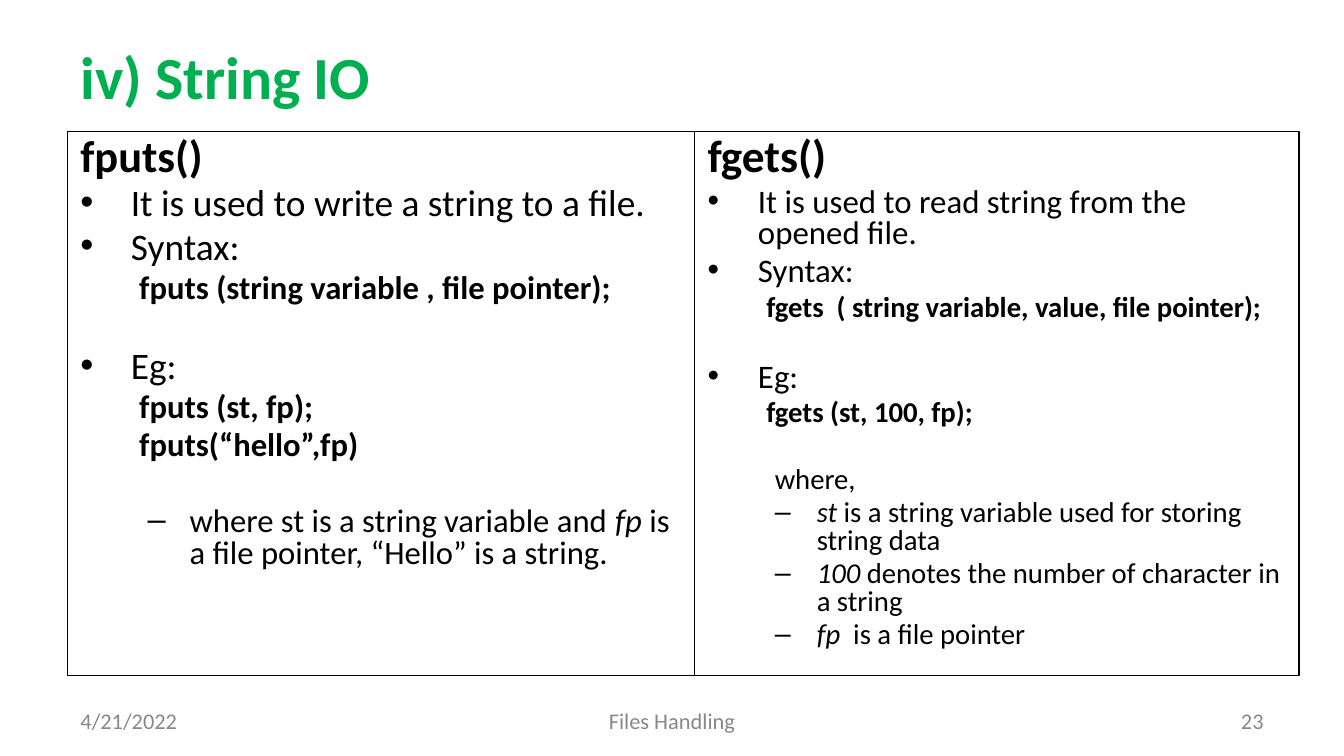
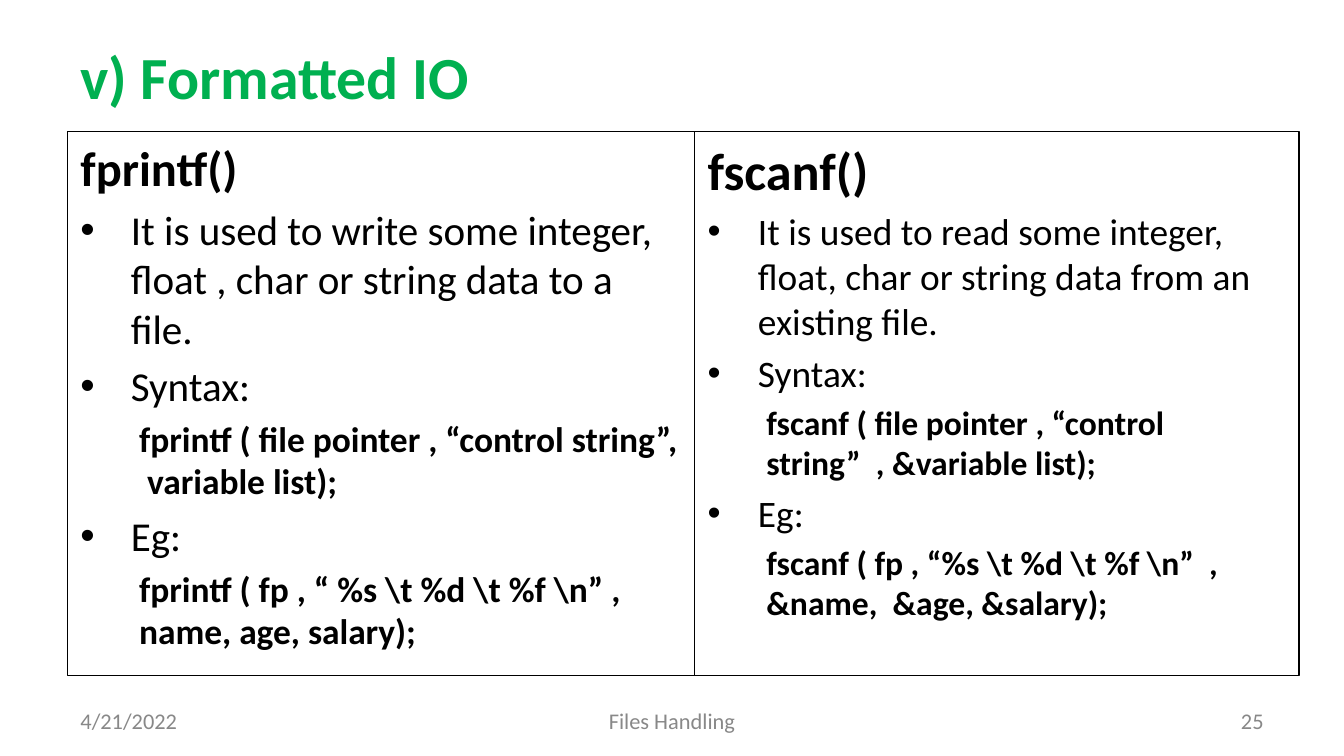
from pptx import Presentation
from pptx.util import Pt
from pptx.dml.color import RGBColor
from pptx.enum.shapes import MSO_SHAPE as Shape
from pptx.enum.text import MSO_ANCHOR as Anchor, PP_ALIGN as Align
from lxml.etree import SubElement
from pptx.oxml.ns import qn

GREEN, BLACK, GREY = "00B050", "000000", "888888"
TOP, HIGH = 70.5, 291.5
COLS = [(36, 336), (372, 324)]  # left, width

# kind: (level, left margin, first-line indent, bullet)
KINDS = {
    "head": (0, 27, -27, None),
    "dot": (0, 27, -27, "•"),
    "code": (1, 31.5, 0, None),
    "note": (1, 36, 0, None),
    "dash": (1, 58.5, -22.5, "–"),
}

# A trailing "+" on a kind leaves one code line free above it; *...* is italic.
# Each column: head size, bullet size, code size, lines
SLIDES = [
    ("iv) String IO", "23", 0.8, [
        (23.8, 20, 17.5, [
            ("head", "fputs()"),
            ("dot", "It is used to write a string to a file."),
            ("dot", "Syntax:"),
            ("code", "fputs (string variable , file pointer);"),
            ("dot+", "Eg:"),
            ("code", "fputs (st, fp);"),
            ("code", "fputs(“hello”,fp)"),
            ("dash+", "where st is a string variable and *fp* is a file pointer, “Hello” is a string."),
        ]),
        (24.2, 17.6, 15.4, [
            ("head", "fgets()"),
            ("dot", "It is used to read string from the opened file."),
            ("dot", "Syntax:"),
            ("code", "fgets  ( string variable, value, file pointer);"),
            ("dot+", "Eg:"),
            ("code", "fgets (st, 100, fp);"),
            ("note+", "where,"),
            ("dash", "*st* is a string variable used for storing string data"),
            ("dash", "*100* denotes the number of character in a string"),
            ("dash", "*fp*  is a file pointer"),
        ]),
    ]),
    ("v) Formatted IO", "25", 1.0, [
        (26, 22, 19, [
            ("head", "fprintf()"),
            ("dot", "It is used to write some integer, float , char or string data to a file."),
            ("dot", "Syntax:"),
            ("code", "fprintf ( file pointer , “control string”,  variable list);"),
            ("dot", "Eg:"),
            ("code", "fprintf ( fp , “ %s \\t %d \\t %f \\n” , name, age, salary);"),
        ]),
        (28, 20, 18, [
            ("head", "fscanf()"),
            ("dot", "It is used to read some integer, float, char or string data from an existing file."),
            ("dot", "Syntax:"),
            ("code", "fscanf ( file pointer , “control string”  , &variable list);"),
            ("dot", "Eg:"),
            ("code", "fscanf ( fp , “%s \\t %d \\t %f \\n”  , &name,  &age, &salary);"),
        ]),
    ]),
]


def style(font, size, color, bold=False):
    font.name, font.size, font.bold = "Calibri", Pt(size), bold
    font.color.rgb = RGBColor.from_string(color)


def label(slide, text, box, size, color, align=Align.LEFT, bold=False):
    frame = slide.shapes.add_textbox(*map(Pt, box)).text_frame
    frame.word_wrap = True
    frame.vertical_anchor = Anchor.MIDDLE
    frame.text = text
    para = frame.paragraphs[0]
    para.alignment = align
    style(para.runs[0].font, size, color, bold)


prs = Presentation()
prs.slide_width, prs.slide_height = Pt(720), Pt(405)

for title, page, pitch, cols in SLIDES:
    slide = prs.slides.add_slide(prs.slide_layouts[6])
    label(slide, title, (36, 16.5, 648, 48), 32, GREEN, bold=True)

    for (left, width), (big, main, small, lines) in zip(COLS, cols):
        panel = slide.shapes.add_shape(Shape.RECTANGLE, Pt(left), Pt(TOP), Pt(width), Pt(HIGH))
        panel.shadow.inherit = False
        panel.fill.background()
        panel.line.color.rgb = RGBColor.from_string(BLACK)
        panel.line.width = Pt(0.75)
        frame = panel.text_frame
        frame.word_wrap = True
        frame.vertical_anchor = Anchor.TOP

        for n, (kind, text) in enumerate(lines):
            name = kind.rstrip("+")
            level, margin, indent, mark = KINDS[name]
            size = {"head": big, "dot": main}.get(name, small)
            para = frame.add_paragraph() if n else frame.paragraphs[0]
            para.alignment = Align.LEFT
            para.level = level
            para.line_spacing = pitch
            if n:
                gap = small * (1.22 * pitch + 0.2) if kind.endswith("+") else 0
                para.space_before = Pt(round(size * 0.2 + gap, 1))

            props = para._p.get_or_add_pPr()
            props.set("marL", str(Pt(margin)))
            props.set("indent", str(Pt(indent)))
            if mark:
                tint = SubElement(props, qn("a:buClr"))
                SubElement(tint, qn("a:srgbClr"), val=BLACK)
                SubElement(props, qn("a:buFont"), typeface="Arial")
                SubElement(props, qn("a:buChar"), char=mark)

            for k, part in enumerate(text.split("*")):
                if part:
                    run = para.add_run()
                    run.text = part
                    style(run.font, size, BLACK, name in ("head", "code"))
                    run.font.italic = k % 2 == 1

    for text, left, width, align in [
        ("4/21/2022", 36, 168, Align.LEFT),
        ("Files Handling", 246, 228, Align.CENTER),
        (page, 516, 168, Align.RIGHT),
    ]:
        label(slide, text, (left, 375.5, width, 21.5), 12, GREY, align)

prs.save("out.pptx")
